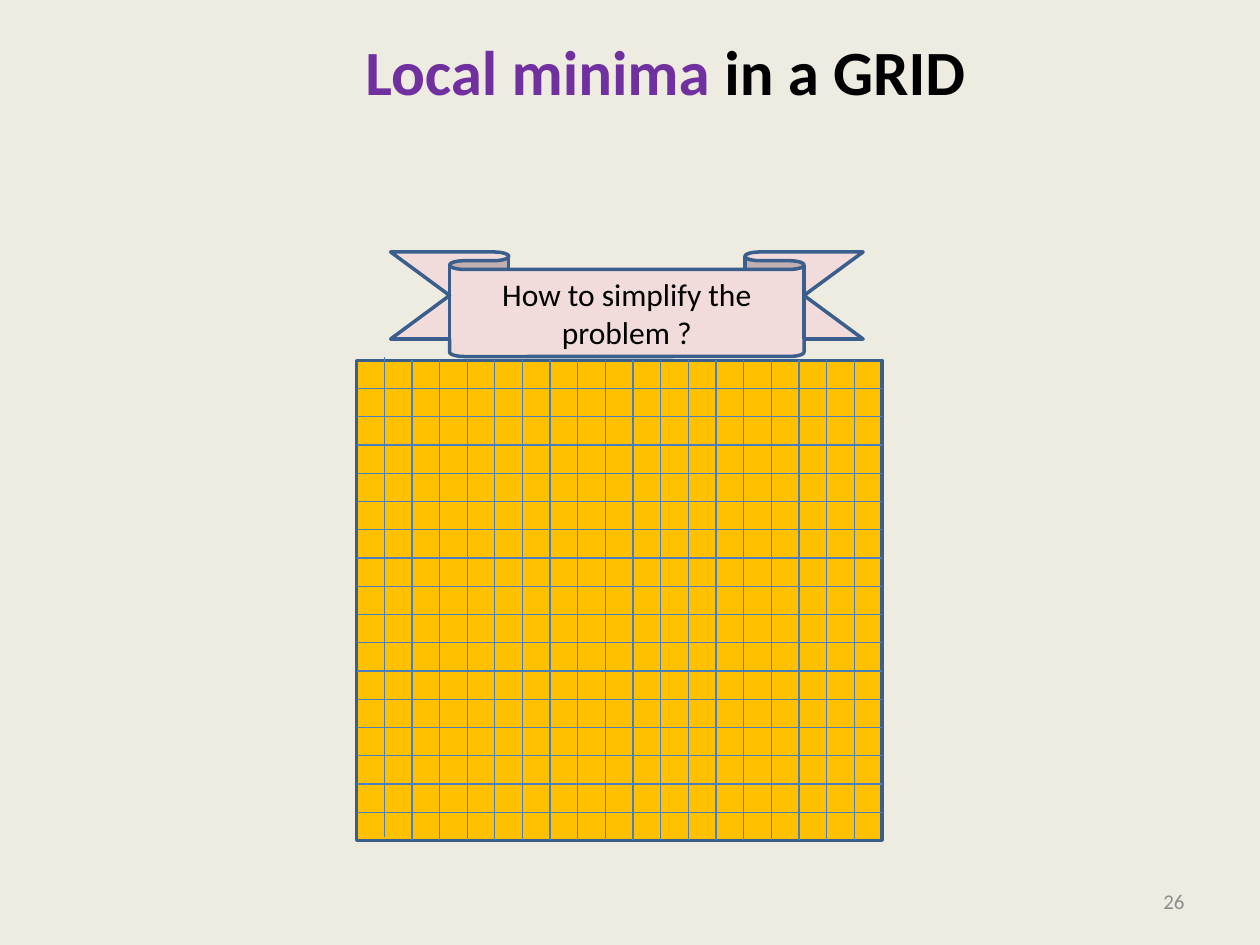
from pptx import Presentation
from pptx.dml.color import RGBColor
from pptx.enum.shapes import MSO_CONNECTOR, MSO_SHAPE
from pptx.enum.text import MSO_ANCHOR, MSO_AUTO_SIZE, PP_ALIGN
from pptx.oxml.ns import qn
from pptx.util import Inches, Pt

STRAIGHT = MSO_CONNECTOR.STRAIGHT
RECTANGLE, RIBBON = MSO_SHAPE.RECTANGLE, MSO_SHAPE.DOWN_RIBBON
LEFT, CENTER, RIGHT = PP_ALIGN.LEFT, PP_ALIGN.CENTER, PP_ALIGN.RIGHT
TOP, MIDDLE = MSO_ANCHOR.TOP, MSO_ANCHOR.MIDDLE
NO_AUTOSIZE = MSO_AUTO_SIZE.NONE


def color(value):
    return RGBColor.from_string(value)


def write_text(shape, runs, size, align, anchor=MIDDLE, bold=False, wrap=True):
    frame = shape.text_frame
    frame.auto_size = NO_AUTOSIZE
    frame.word_wrap = wrap
    frame.vertical_anchor = anchor
    paragraph = frame.paragraphs[0]
    paragraph.alignment = align
    for text, text_color in runs:
        run = paragraph.add_run()
        run.text = text
        run.font.name = "Calibri"
        run.font.size = Pt(size)
        run.font.bold = bold
        run.font.color.rgb = color(text_color)


presentation = Presentation()
presentation.slide_width = Inches(10)
presentation.slide_height = Inches(7.5)
slide = presentation.slides.add_slide(presentation.slide_layouts[5])
slide.background.fill.solid()
slide.background.fill.fore_color.rgb = color("EEECE1")

title = slide.shapes.title
title.left, title.top = Inches(2.8), Inches(0.21)
title.width, title.height = Inches(5.02), Inches(0.71)
write_text(title, [("Local minima ", "7030A0"), ("in a GRID", "000000")],
           size=36, align=LEFT, anchor=TOP, bold=True, wrap=False)

grid_left, grid_top, grid_width, grid_height = 2.83, 2.86, 4.17, 3.81
columns, rows = 19, 17

panels = []
for kind, left, top, width, height, fill in [
    (RIBBON, 3.1, 2, 3.75, 0.83, "F2DCDB"),
    (RECTANGLE, grid_left, grid_top, grid_width, grid_height, "FFC000"),
]:
    panel = slide.shapes.add_shape(kind, Inches(left), Inches(top), Inches(width), Inches(height))
    panel.shadow.inherit = False
    panel.fill.solid()
    panel.fill.fore_color.rgb = color(fill)
    panel.line.color.rgb = color("3A5F8C")
    panel.line.width = Pt(2)
    panels.append(panel)

banner = panels[0]
banner.adjustments[0] = 0.167
banner.adjustments[1] = 0.75
write_text(banner, [("How to simplify the problem ?", "000000")], size=18, align=CENTER)

grid_lines = []
for column in range(1, columns):
    x = grid_left + column * grid_width / columns
    y = grid_top - 0.03 if column == 1 else grid_top
    grid_lines.append((x, y, x, y + grid_height))
for row in range(1, rows):
    y = grid_top + row * grid_height / rows
    grid_lines.append((grid_left, y, grid_left + grid_width, y))

for ends in grid_lines:
    line = slide.shapes.add_connector(STRAIGHT, *[Inches(end) for end in ends])
    line.line.color.rgb = color("4B7EBC")
    line.line.width = Pt(0.75)
    properties = line._element.spPr
    properties.append(properties.makeelement(qn("a:effectLst"), {}))

slide_number = slide.shapes.add_textbox(Inches(7.17), Inches(6.95), Inches(2.33), Inches(0.4))
write_text(slide_number, [("26", "8C8C8C")], size=12, align=RIGHT)

presentation.save("out.pptx")
